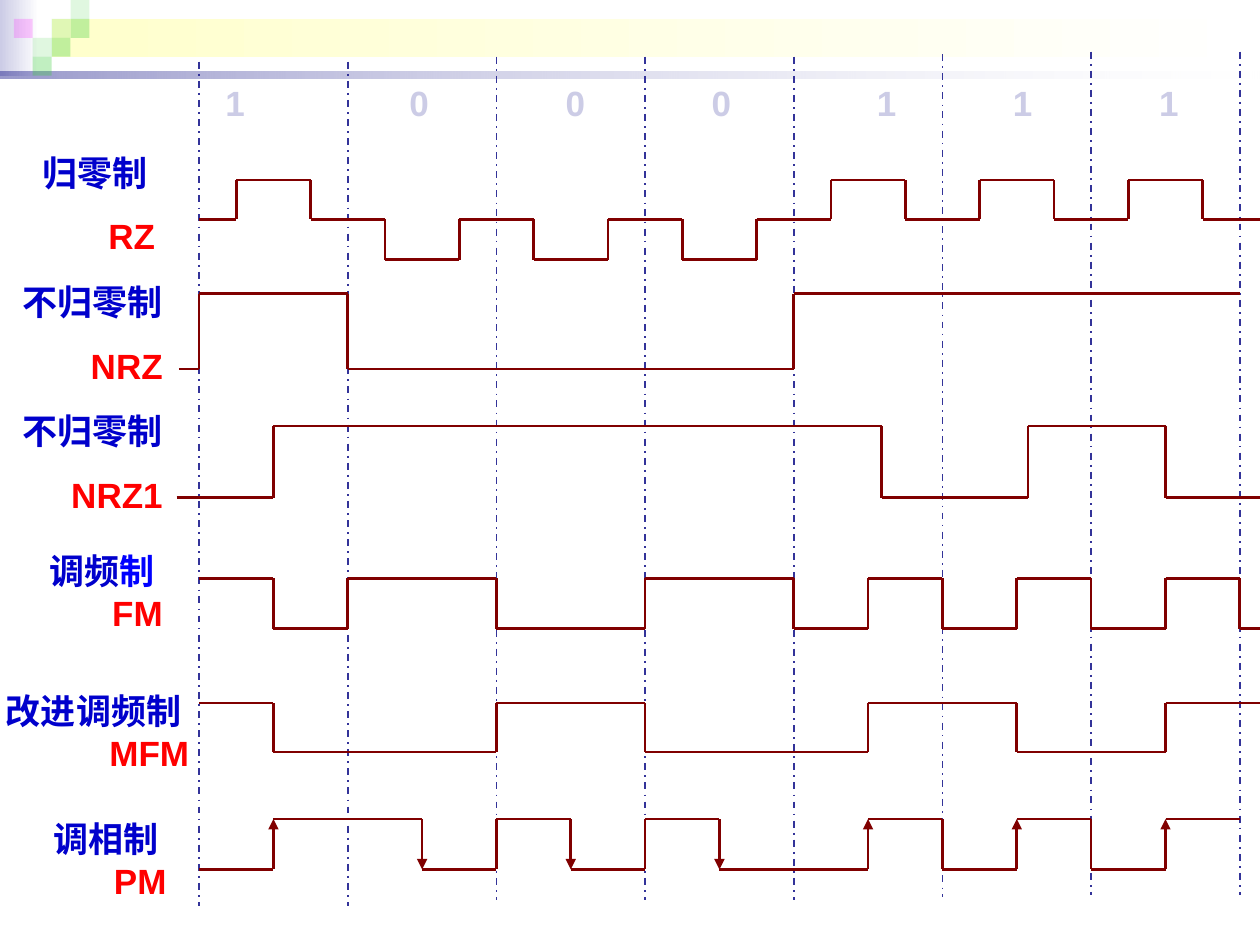
"""Build a slide of digital recording waveforms for the bits 1000111."""
import itertools
import pptx
import pptx.util
import pptx.dml.color
import pptx.enum.dml
import pptx.enum.shapes
import pptx.enum.text
import pptx.oxml.ns
import lxml.etree

Inches = pptx.util.Inches
Pt = pptx.util.Pt
qn = pptx.oxml.ns.qn

BITS = "1000111"
TABS = [1.46, 2.7, 3.86, 5.17, 6.25, 7.41]
LEFT, HALF, END = 1.58, 0.59, 14.27
BLUE, RED, WINE, NAVY = "0000CC", "FF0000", "800000", "333399"

BANDS = [
    ((0, 0, 0.31, 0.6), ("CCCCE6", 100), ("FFFFFF", 100)),
    ((0.41, 0.15, 9.55, 0.3), ("FFFFCC", 100), ("FFFFFF", 100)),
    ((0, 0.57, 10, 0.05), ("00007D", 40), ("FFFFFF", 10)),
]
TILES = [
    (0.41, 0.15, "33CC33", 15), (0.56, 0, "33CC33", 15),
    (0.56, 0.15, "33CC33", 30), (0.26, 0.3, "33CC33", 15),
    (0.11, 0.15, "FF00FF", 20), (0.41, 0.3, "33CC33", 30),
    (0.26, 0.45, "33CC33", 30),
]
RULES = [(0.49, 7.19), (0.49, 7.19), (0.45, 7.14), (0.45, 7.14),
         (0.45, 7.14), (0.43, 7.12), (0.41, 7.1), (0.41, 7.1)]
LABELS = [
    ((-0.2, 1.15, 1.53, 0.94), [[("归零制 ", BLUE)], [("RZ", RED)]]),
    ((0, 2.18, 1.39, 0.94), [[("不归零制", BLUE)], [("NRZ", RED)]]),
    ((0, 3.2, 1.39, 0.94), [[("不归零制", BLUE)], [("NRZ1", RED)]]),
    ((0.2, 4.31, 1.19, 0.77),
     [[("调频", BLUE), ("制 ", "0000FF"), ("\v", BLUE), ("FM", RED)]]),
    ((-0.09, 5.42, 1.69, 0.77),
     [[("改进调频制 ", BLUE), ("\v", BLUE), ("MFM", RED)]]),
    ((0.2, 6.44, 1.22, 0.77),
     [[("调相制 ", BLUE), ("\v", BLUE), ("PM", RED)]]),
]
WAVES = [
    ("NRZ", (2.93, 2.33), -0.27, [0, 2, 8], 14),
    ("NRZ1", (3.95, 3.38), -0.3, [1, 9.18, 11.15, 13], END),
    ("FM", (4.59, 4.99), 0, [1, 2, 4, 6, 8, 9, 10, 11, 12, 13, 14], END),
    ("MFM", (5.58, 5.97), 0, [1, 4, 6, 9, 11, 13], END),
    ("PM", (6.9, 6.5), 0, [1, 3, 4, 5, 6, 7, 9, 10, 11, 12, 13], 14),
]
REST, RISE, FALL = 1.74, 1.43, 2.06

deck = pptx.Presentation()
deck.slide_width, deck.slide_height = Inches(10), Inches(7.5)
slide = deck.slides.add_slide(deck.slide_layouts[6])
shapes = slide.shapes


def rgb(code):
    """Turn a hex string into a colour."""
    return pptx.dml.color.RGBColor.from_string(code)


def block(box):
    """Add a plain rectangle with no line."""
    kind = pptx.enum.shapes.MSO_SHAPE.RECTANGLE
    shape = shapes.add_shape(kind, *map(Inches, box))
    shape.shadow.inherit = False
    shape.line.fill.background()
    return shape


def fade(shape, levels):
    """Set the opacity of each fill colour in turn."""
    tints = shape.element.spPr.iter(qn("a:srgbClr"))
    for tint, level in zip(tints, levels):
        lxml.etree.SubElement(tint, qn("a:alpha")).set("val", str(level * 1000))


def stroke(start, end, color, width, arrow=False):
    """Add a straight line and return it."""
    kind = pptx.enum.shapes.MSO_CONNECTOR.STRAIGHT
    line = shapes.add_connector(kind, *map(Inches, start + end))
    line.line.color.rgb = rgb(color)
    line.line.width = Pt(width)
    props = line.element.spPr
    if arrow:
        tail = lxml.etree.SubElement(props.find(qn("a:ln")), qn("a:tailEnd"))
        tail.set("type", "triangle")
    lxml.etree.SubElement(props, qn("a:effectLst"))
    return line


def style(font, color):
    """Apply the bold label font."""
    font.name, font.size, font.bold = "Arial", Pt(20), True
    font.color.rgb = rgb(color)


def frame(box):
    """Add a wrapping text box and return its frame."""
    text = shapes.add_textbox(*map(Inches, box)).text_frame
    text.word_wrap = True
    return text


def trace(steps, end, arrows=False):
    """Draw a square wave from (half bit, height) steps."""
    for (a, y), (b, z) in itertools.pairwise(steps + [(end, None)]):
        x, turn = LEFT + a * HALF, LEFT + b * HALF
        stroke((x, y), (turn, y), WINE, 1.5)
        if z is not None:
            stroke((turn, y), (turn, z), WINE, 1.5, arrows and b % 2 == 1)


for box, *ends in BANDS:
    band = block(box)
    band.fill.gradient()
    band.fill.gradient_angle = 0
    for stop, (color, level) in zip(band.fill.gradient_stops, ends):
        stop.color.rgb = rgb(color)
    fade(band, [level for color, level in ends])

for x, y, color, level in TILES:
    tile = block((x, y, 0.15, 0.15))
    tile.fill.solid()
    tile.fill.fore_color.rgb = rgb(color)
    fade(tile, [level])

for i, (top, foot) in enumerate(RULES):
    x = LEFT + 2 * i * HALF
    rule = stroke((x, top), (x, foot), NAVY, 1)
    rule.line.dash_style = pptx.enum.dml.MSO_LINE.DASH_DOT

para = frame((1.69, 0.6, 8.31, 0.44)).paragraphs[0]
para.text = "\t".join(BITS)
tabs = lxml.etree.SubElement(para._p.get_or_add_pPr(), qn("a:tabLst"))
for stop in TABS:
    tab = lxml.etree.SubElement(tabs, qn("a:tab"))
    tab.set("pos", str(Inches(stop)))
    tab.set("algn", "l")
for run in para.runs:
    style(run.font, "CCCCE6")

pulse = [(0, REST)]
for i, bit in enumerate(BITS):
    pulse += [(2 * i + 0.5, RISE if bit == "1" else FALL), (2 * i + 1.5, REST)]
trace(pulse, END)

for name, pair, start, edges, end in WAVES:
    trace(list(zip([start] + edges, itertools.cycle(pair))), end, name == "PM")

for box, lines in LABELS:
    text = frame(box)
    for i, parts in enumerate(lines):
        para = text.add_paragraph() if i else text.paragraphs[0]
        para.alignment = pptx.enum.text.PP_ALIGN.RIGHT
        if i:
            para.space_before = Pt(12.5)
        for words, color in parts:
            if words == "\v":
                para.add_line_break()
                continue
            run = para.add_run()
            run.text = words
            style(run.font, color)

deck.save("out.pptx")
